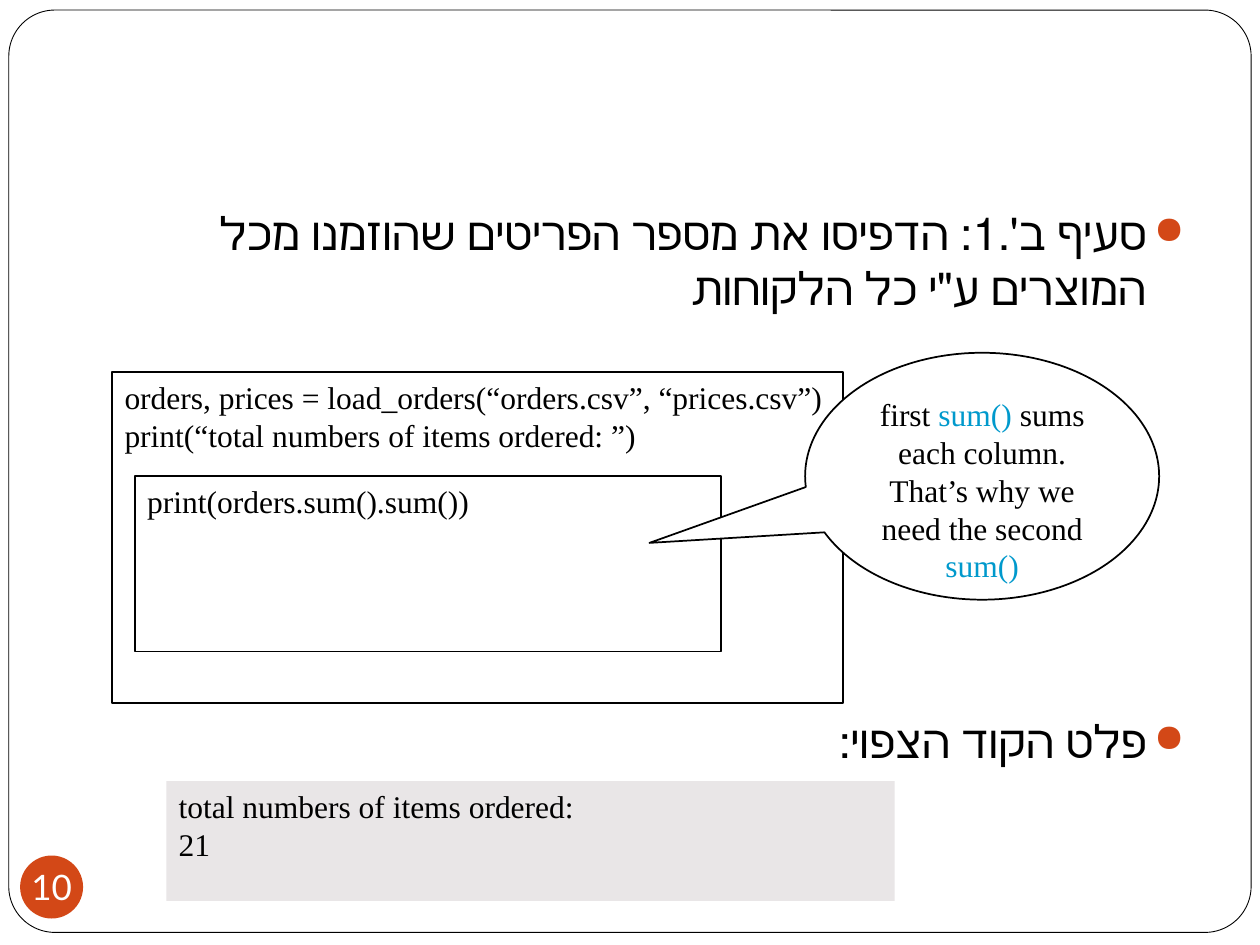
"""Build a slide on summing orders, with code, a callout and the output."""
from dataclasses import dataclass
from typing import Optional

from lxml import etree
from pptx import Presentation
from pptx.dml.color import RGBColor
from pptx.enum.shapes import MSO_SHAPE
from pptx.enum.text import MSO_ANCHOR, PP_ALIGN
from pptx.oxml.ns import qn
from pptx.util import Inches, Pt

RECT = MSO_SHAPE.RECTANGLE
ROUND = MSO_SHAPE.ROUNDED_RECTANGLE
OVAL = MSO_SHAPE.OVAL
BUBBLE = MSO_SHAPE.OVAL_CALLOUT
LEFT, MID, RIGHT = PP_ALIGN.LEFT, PP_ALIGN.CENTER, PP_ALIGN.RIGHT
TOP, CENTER = MSO_ANCHOR.TOP, MSO_ANCHOR.MIDDLE


@dataclass(frozen=True)
class Theme:
    """Colours, fonts and type sizes."""
    ink: str = "000000"
    paper: str = "FFFFFF"
    accent: str = "D34817"
    tint: str = "E9E6E7"
    call: str = "0099CC"
    serif: str = "Times New Roman"
    sans: str = "Lato"
    point: int = 26
    code: int = 18
    number: int = 20


THEME = Theme()


@dataclass(frozen=True)
class Run:
    """A piece of text in one colour."""
    text: str
    color: str = THEME.ink


@dataclass(frozen=True)
class Box:
    """A preset shape with its look and its lines of text."""
    kind: MSO_SHAPE
    place: tuple[float, float, float, float]
    fill: Optional[str] = None
    line: Optional[float] = None
    lines: tuple[tuple[Run, ...], ...] = ()
    align: PP_ALIGN = LEFT
    anchor: MSO_ANCHOR = TOP
    font: str = THEME.serif
    size: int = THEME.code
    inset: Optional[float] = None
    adjust: tuple[float, ...] = ()


BOXES = (
    Box(ROUND, (0.07, 0.08, 9.86, 7.32), THEME.paper, 0.5, adjust=(0.05,)),
    Box(OVAL, (0.16, 6.79, 0.5, 0.5), THEME.accent,
        lines=((Run("10", THEME.paper),),), align=MID, anchor=CENTER,
        font=THEME.sans, size=THEME.number, inset=0),
    Box(RECT, (0.89, 2.95, 5.8, 2.63), THEME.paper, 1, (
        (Run("orders, prices = load_orders(“orders.csv”, “prices.csv”)"),),
        (Run("print(“total numbers of items ordered: ”)"),))),
    Box(RECT, (1.07, 3.78, 4.65, 1.39), None, 1,
        ((Run("print(orders.sum().sum())"),),)),
    Box(RECT, (1.32, 6.2, 5.78, 0.95), THEME.tint, lines=(
        (Run("total numbers of items ordered:"),), (Run("21"),))),
    Box(BUBBLE, (6.39, 2.8, 2.81, 1.96), THEME.paper, 1, ((
        Run("first "), Run("sum() ", THEME.call),
        Run("sums each column. That’s why we need the second "),
        Run("sum()", THEME.call)),), MID, adjust=(-0.94, 0.27)),
)

POINTS = (
    ("סעיף ב'.1: הדפיסו את מספר הפריטים שהוזמנו מכל המוצרים ע\"י כל הלקוחות", 0),
    ("פלט הקוד הצפוי:", 228),
)


def paint(part, color: Optional[str]) -> None:
    """Fill a part with a colour, or clear it."""
    if color is None:
        part.background()
    else:
        part.solid()
        part.fore_color.rgb = RGBColor.from_string(color)


def write(para, runs: tuple[Run, ...], font: str, size: int) -> None:
    """Put runs in a paragraph and set its type."""
    para.font.name, para.font.size = font, Pt(size)
    for item in runs:
        run = para.add_run()
        run.text = item.text
        run.font.color.rgb = RGBColor.from_string(item.color)


def draw(slide, box: Box) -> None:
    """Draw one box with its text."""
    shape = slide.shapes.add_shape(box.kind, *map(Inches, box.place))
    shape.shadow.inherit = False
    for index, value in enumerate(box.adjust):
        shape.adjustments[index] = value
    paint(shape.fill, box.fill)
    paint(shape.line.fill, THEME.ink if box.line else None)
    if box.line:
        shape.line.width = Pt(box.line)
    frame = shape.text_frame
    frame.vertical_anchor = box.anchor
    frame.word_wrap = box.inset is None
    if box.inset is not None:
        frame.margin_left = frame.margin_right = Inches(box.inset)
        frame.margin_top = frame.margin_bottom = Inches(box.inset)
    for index, runs in enumerate(box.lines):
        para = frame.add_paragraph() if index else frame.paragraphs[0]
        para.alignment = box.align
        write(para, runs, box.font, box.size)


def bullet(para) -> None:
    """Give a paragraph a right-to-left hanging bullet."""
    props = para._p.get_or_add_pPr()
    props.set("rtl", "1")
    props.set("marL", str(Inches(0.3)))
    props.set("indent", str(-Inches(0.3)))
    tone = etree.SubElement(props, qn("a:buClr"))
    etree.SubElement(tone, qn("a:srgbClr"), val=THEME.accent)
    etree.SubElement(props, qn("a:buSzPct"), val="85000")
    etree.SubElement(props, qn("a:buChar"), char="●")


def list_points(slide) -> None:
    """Write the bullet points."""
    place = map(Inches, (1, 1.58, 8.5, 5))
    frame = slide.shapes.add_textbox(*place).text_frame
    frame.word_wrap = True
    for index, (text, gap) in enumerate(POINTS):
        para = frame.add_paragraph() if index else frame.paragraphs[0]
        bullet(para)
        para.alignment = RIGHT
        if gap:
            para.space_before = Pt(gap)
        write(para, (Run(text),), THEME.serif, THEME.point)


def main() -> None:
    """Build and save the slide."""
    deck = Presentation()
    deck.slide_width, deck.slide_height = Inches(10), Inches(7.5)
    slide = deck.slides.add_slide(deck.slide_layouts[6])
    for box in BOXES[:2]:
        draw(slide, box)
    list_points(slide)
    for box in BOXES[2:]:
        draw(slide, box)
    deck.save("out.pptx")


if __name__ == "__main__":
    main()
